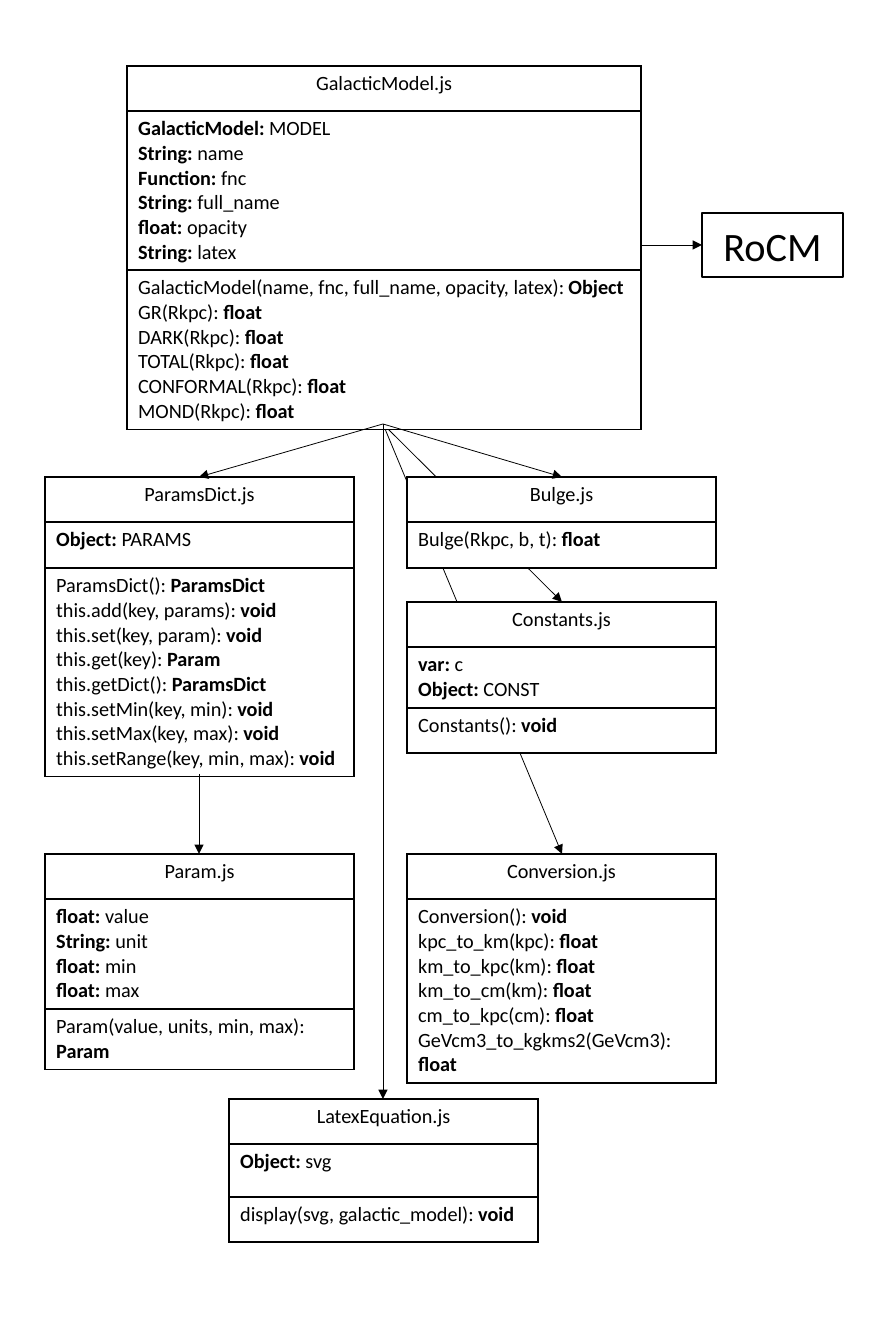
from dataclasses import dataclass

from lxml.etree import SubElement
from pptx import Presentation
from pptx.dml.color import RGBColor
from pptx.enum.shapes import MSO_CONNECTOR, MSO_SHAPE
from pptx.enum.text import MSO_ANCHOR, PP_ALIGN
from pptx.oxml.ns import qn
from pptx.slide import Slide
from pptx.util import Emu, Pt

PX = 914400 / 112
COLORS = {"ink": "000000", "paper": "FFFFFF"}
FONT = {"name": "Calibri", "size": Pt(13), "bold": False}
TITLE_H = 45
CLASS_W = 309


@dataclass(frozen=True)
class Section:
    """One compartment of a class box: its height and its members."""
    height: int
    members: tuple[str, ...]


@dataclass(frozen=True)
class ClassBox:
    """A class diagram box with a title and compartments."""
    title: str
    left: int
    top: int
    sections: tuple[Section, ...]
    width: int = CLASS_W


@dataclass(frozen=True)
class Arrow:
    """A straight arrow between two points."""
    start: tuple[int, int]
    end: tuple[int, int]


def emu(px: float) -> Emu:
    """Turn pixels into EMU."""
    return Emu(round(px * PX))


def color(name: str) -> RGBColor:
    """Look up a colour by name."""
    return RGBColor.from_string(COLORS[name])


def add_run(p, text: str, **changes) -> None:
    """Add a run in the slide font, with any changes to its format."""
    r = p.add_run()
    r.text = text
    r.font.color.rgb = color("ink")
    for key, value in {**FONT, **changes}.items():
        setattr(r.font, key, value)


def add_member(p, member: str) -> None:
    """Write a field or method with its type in bold."""
    head, tail = member.split(": ")
    is_method = "(" in head
    add_run(p, f"{head}: ", bold=not is_method)
    add_run(p, tail, bold=is_method)


def style_cell(cell) -> None:
    """Give a cell black borders and a white fill."""
    tc_pr = cell._tc.get_or_add_tcPr()
    for side in ("lnL", "lnR", "lnT", "lnB"):
        ln = SubElement(tc_pr, qn(f"a:{side}"), w=str(Pt(1)))
        fill = SubElement(ln, qn("a:solidFill"))
        SubElement(fill, qn("a:srgbClr"), val=COLORS["ink"])
    cell.fill.solid()
    cell.fill.fore_color.rgb = color("paper")


def add_class(s: Slide, box: ClassBox) -> None:
    """Draw a class box as a one-column table."""
    heights = [TITLE_H, *(section.height for section in box.sections)]
    bounds = (box.left, box.top, box.width, sum(heights))
    table = s.shapes.add_table(len(heights), 1, *map(emu, bounds)).table
    for flag in ("first_row", "horz_banding"):
        setattr(table, flag, False)
    for i, height in enumerate(heights):
        table.rows[i].height = emu(height)
        style_cell(table.cell(i, 0))
    p = table.cell(0, 0).text_frame.paragraphs[0]
    p.alignment = PP_ALIGN.CENTER
    add_run(p, box.title)
    for i, section in enumerate(box.sections, start=1):
        tf = table.cell(i, 0).text_frame
        for j, member in enumerate(section.members):
            add_member(tf.add_paragraph() if j else tf.paragraphs[0], member)


def add_arrow(s: Slide, arrow: Arrow) -> None:
    """Draw a thin line with a triangle at its end."""
    points = map(emu, (*arrow.start, *arrow.end))
    line = s.shapes.add_connector(MSO_CONNECTOR.STRAIGHT, *points)
    line.line.width = Pt(0.5)
    line.line.color.rgb = color("ink")
    SubElement(line.line._get_or_add_ln(), qn("a:tailEnd"), type="triangle")
    SubElement(line._element.spPr, qn("a:effectLst"))


def add_app(s: Slide, text: str, bounds: tuple[int, int, int, int]) -> None:
    """Draw the application box with its large label."""
    sp = s.shapes.add_shape(MSO_SHAPE.RECTANGLE, *map(emu, bounds))
    sp.shadow.inherit = False
    sp.fill.solid()
    sp.fill.fore_color.rgb = color("paper")
    sp.line.color.rgb = color("ink")
    sp.line.width = Pt(1)
    tf = sp.text_frame
    tf.vertical_anchor = MSO_ANCHOR.MIDDLE
    p = tf.paragraphs[0]
    p.alignment = PP_ALIGN.CENTER
    add_run(p, text, size=Pt(25.9))


LEFT_X, RIGHT_X = 45, 407
UPPER_Y, CONSTANTS_Y, LOWER_Y, LATEX_Y = 477, 602, 854, 1099
LEFT_MID, RIGHT_MID = 199, 562
MODEL_BASE = (383, 424)

CLASSES = (
    ClassBox("GalacticModel.js", 127, 66, (
        Section(159, ("GalacticModel: MODEL", "String: name", "Function: fnc",
                      "String: full_name", "float: opacity", "String: latex")),
        Section(159, ("GalacticModel(name, fnc, full_name, opacity, latex): Object",
                      "GR(Rkpc): float", "DARK(Rkpc): float", "TOTAL(Rkpc): float",
                      "CONFORMAL(Rkpc): float", "MOND(Rkpc): float")),
    ), 514),
    ClassBox("Conversion.js", RIGHT_X, LOWER_Y, (
        Section(184, ("Conversion(): void", "kpc_to_km(kpc): float",
                      "km_to_kpc(km): float", "km_to_cm(km): float",
                      "cm_to_kpc(cm): float", "GeVcm3_to_kgkms2(GeVcm3): float")),
    )),
    ClassBox("Bulge.js", RIGHT_X, UPPER_Y, (
        Section(46, ("Bulge(Rkpc, b, t): float",)),
    )),
    ClassBox("Constants.js", RIGHT_X, CONSTANTS_Y, (
        Section(61, ("var: c", "Object: CONST")),
        Section(45, ("Constants(): void",)),
    )),
    ClassBox("Param.js", LEFT_X, LOWER_Y, (
        Section(110, ("float: value", "String: unit", "float: min", "float: max")),
        Section(60, ("Param(value, units, min, max): Param",)),
    )),
    ClassBox("ParamsDict.js", LEFT_X, UPPER_Y, (
        Section(46, ("Object: PARAMS",)),
        Section(208, ("ParamsDict(): ParamsDict", "this.add(key, params): void",
                      "this.set(key, param): void", "this.get(key): Param",
                      "this.getDict(): ParamsDict", "this.setMin(key, min): void",
                      "this.setMax(key, max): void",
                      "this.setRange(key, min, max): void")),
    )),
    ClassBox("LatexEquation.js", 229, LATEX_Y, (
        Section(53, ("Object: svg",)),
        Section(45, ("display(svg, galactic_model): void",)),
    )),
)
ARROWS_BEHIND = tuple(Arrow(MODEL_BASE, (RIGHT_MID, y)) for y in (LOWER_Y, CONSTANTS_Y))
ARROWS_FRONT = (
    Arrow((641, 245), (702, 245)),
    Arrow(MODEL_BASE, (LEFT_MID, UPPER_Y)),
    Arrow((LEFT_MID, 774), (LEFT_MID, LOWER_Y)),
    Arrow(MODEL_BASE, (RIGHT_MID, UPPER_Y)),
    Arrow(MODEL_BASE, (MODEL_BASE[0], LATEX_Y)),
)

prs = Presentation()
prs.slide_width, prs.slide_height = emu(896), emu(1344)
s = prs.slides.add_slide(prs.slide_layouts[6])
add_app(s, "RoCM", (702, 213, 141, 64))
for arrow in ARROWS_BEHIND:
    add_arrow(s, arrow)
for box in CLASSES:
    add_class(s, box)
for arrow in ARROWS_FRONT:
    add_arrow(s, arrow)
prs.save("out.pptx")
